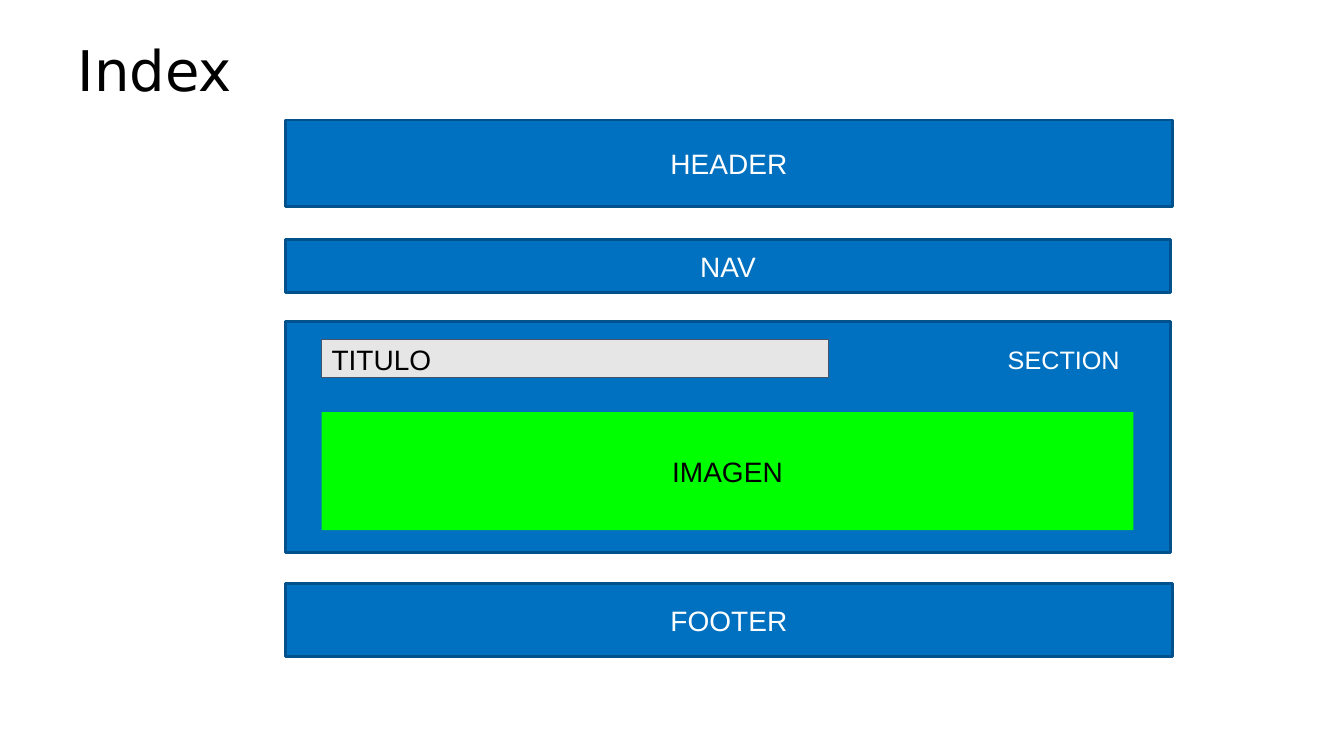
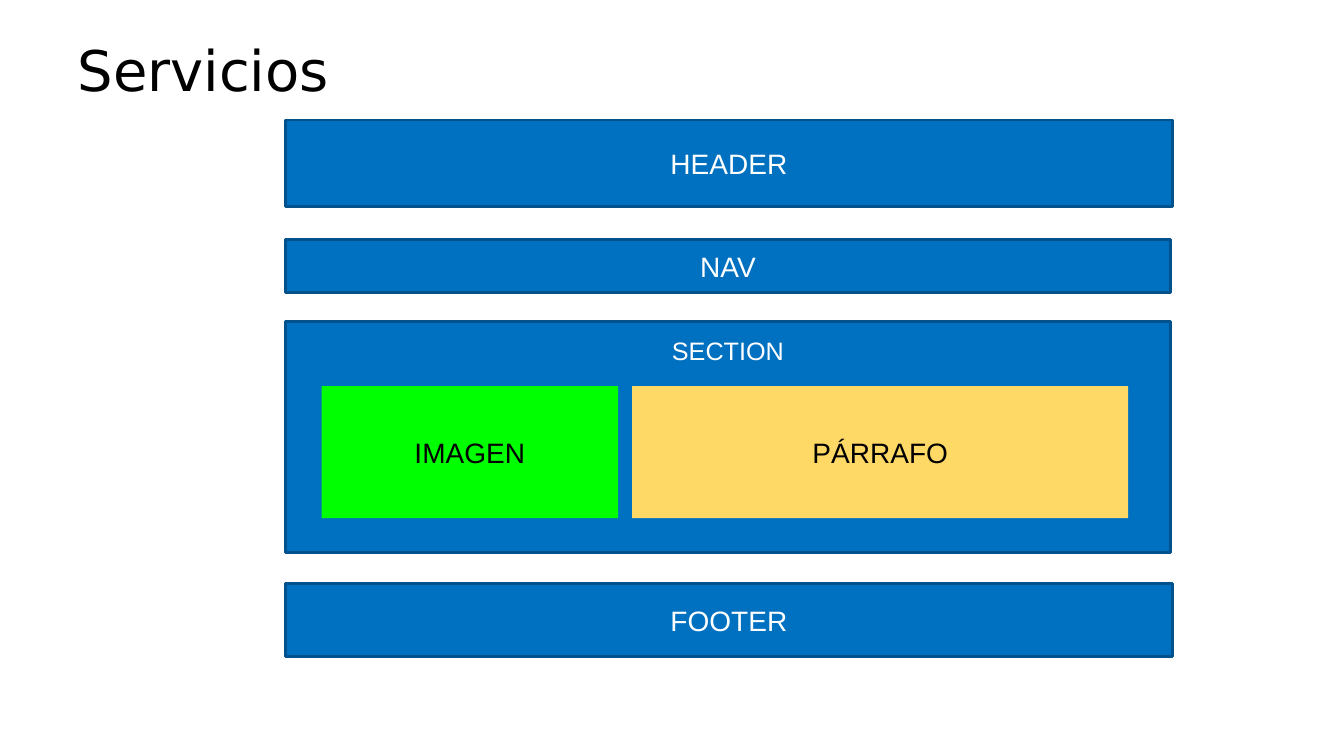
from pptx import Presentation
from pptx.dml.color import RGBColor
from pptx.enum.shapes import MSO_SHAPE
from pptx.enum.text import MSO_ANCHOR, MSO_AUTO_SIZE, PP_ALIGN
from pptx.util import Inches, Pt

COLORS = {
    "band": "0070C0", "band_line": "00518C", "image": "00FF00",
    "paragraph": "FFD966", "heading": "E7E6E6", "heading_line": "44546A",
    "black": "000000", "white": "FFFFFF",
}
BODY_FONT, TITLE_FONT = "Arial", "DejaVu Sans"

# Block style: fill, line, line width, text colour, text size, alignment, anchor
STYLES = {
    "band": ("band", "band_line", 2, "white", 20, PP_ALIGN.CENTER, MSO_ANCHOR.MIDDLE),
    "image": ("image", None, 0, "black", 20, PP_ALIGN.CENTER, MSO_ANCHOR.MIDDLE),
    "paragraph": ("paragraph", None, 0, "black", 20, PP_ALIGN.CENTER, MSO_ANCHOR.MIDDLE),
    "heading": ("heading", "heading_line", 0.75, "black", 20, PP_ALIGN.LEFT, MSO_ANCHOR.MIDDLE),
    "label": (None, None, 0, "white", 18, PP_ALIGN.CENTER, MSO_ANCHOR.TOP),
}

# Blocks: style, text, (left, top, width, height) in inches
BAND_LEFT, INNER_LEFT = 2.83, 3.19
PAGE_BANDS = [
    ("band", "HEADER", (BAND_LEFT, 1.19, 8.8, 0.86)),
    ("band", "NAV", (BAND_LEFT, 2.38, 8.78, 0.52)),
    ("band", "", (BAND_LEFT, 3.19, 8.78, 2.29)),
    ("band", "FOOTER", (BAND_LEFT, 5.79, 8.8, 0.72)),
]
PAGES = [
    ("Index", [
        ("label", "SECTION", (9.89, 3.37, 1.32, 0.4)),
        ("image", "IMAGEN", (INNER_LEFT, 4.09, 8.05, 1.17)),
        ("heading", "TITULO", (INNER_LEFT, 3.37, 5.03, 0.38)),
    ]),
    ("Servicios", [
        ("paragraph", "PÁRRAFO", (6.27, 3.83, 4.92, 1.31)),
        ("label", "SECTION", (6.56, 3.28, 1.32, 0.4)),
        ("image", "IMAGEN", (INNER_LEFT, 3.83, 2.94, 1.31)),
    ]),
]


def rgb(name):
    return RGBColor.from_string(COLORS[name])


def write(sp, text, font, size, color, align, anchor):
    tf = sp.text_frame
    tf.text = text
    tf.word_wrap = True
    tf.auto_size = MSO_AUTO_SIZE.NONE
    tf.vertical_anchor = anchor
    p = tf.paragraphs[0]
    p.alignment = align
    for r in p.runs:
        r.font.name = font
        r.font.size = Pt(size)
        r.font.color.rgb = rgb(color)
    return p


def add_title(s, text):
    sp = s.shapes.title
    sp.left, sp.top, sp.width, sp.height = map(Inches, (0.67, 0.26, 8.62, 0.94))
    p = write(sp, text, TITLE_FONT, 40, "black", PP_ALIGN.LEFT, MSO_ANCHOR.MIDDLE)
    p.line_spacing = 0.9


def add_block(s, style, text, box):
    fill, line, line_width, color, size, align, anchor = STYLES[style]
    box = map(Inches, box)
    if fill:
        sp = s.shapes.add_shape(MSO_SHAPE.RECTANGLE, *box)
        sp.shadow.inherit = False
        sp.fill.solid()
        sp.fill.fore_color.rgb = rgb(fill)
        if line:
            sp.line.color.rgb = rgb(line)
            sp.line.width = Pt(line_width)
        else:
            sp.line.fill.background()
    else:
        sp = s.shapes.add_textbox(*box)
    if text:
        write(sp, text, BODY_FONT, size, color, align, anchor)


def main():
    prs = Presentation()
    prs.slide_width, prs.slide_height = Inches(13.33), Inches(7.5)
    for title, blocks in PAGES:
        s = prs.slides.add_slide(prs.slide_layouts[5])
        add_title(s, title)
        for block in PAGE_BANDS + blocks:
            add_block(s, *block)
    prs.save("out.pptx")


if __name__ == "__main__":
    main()
